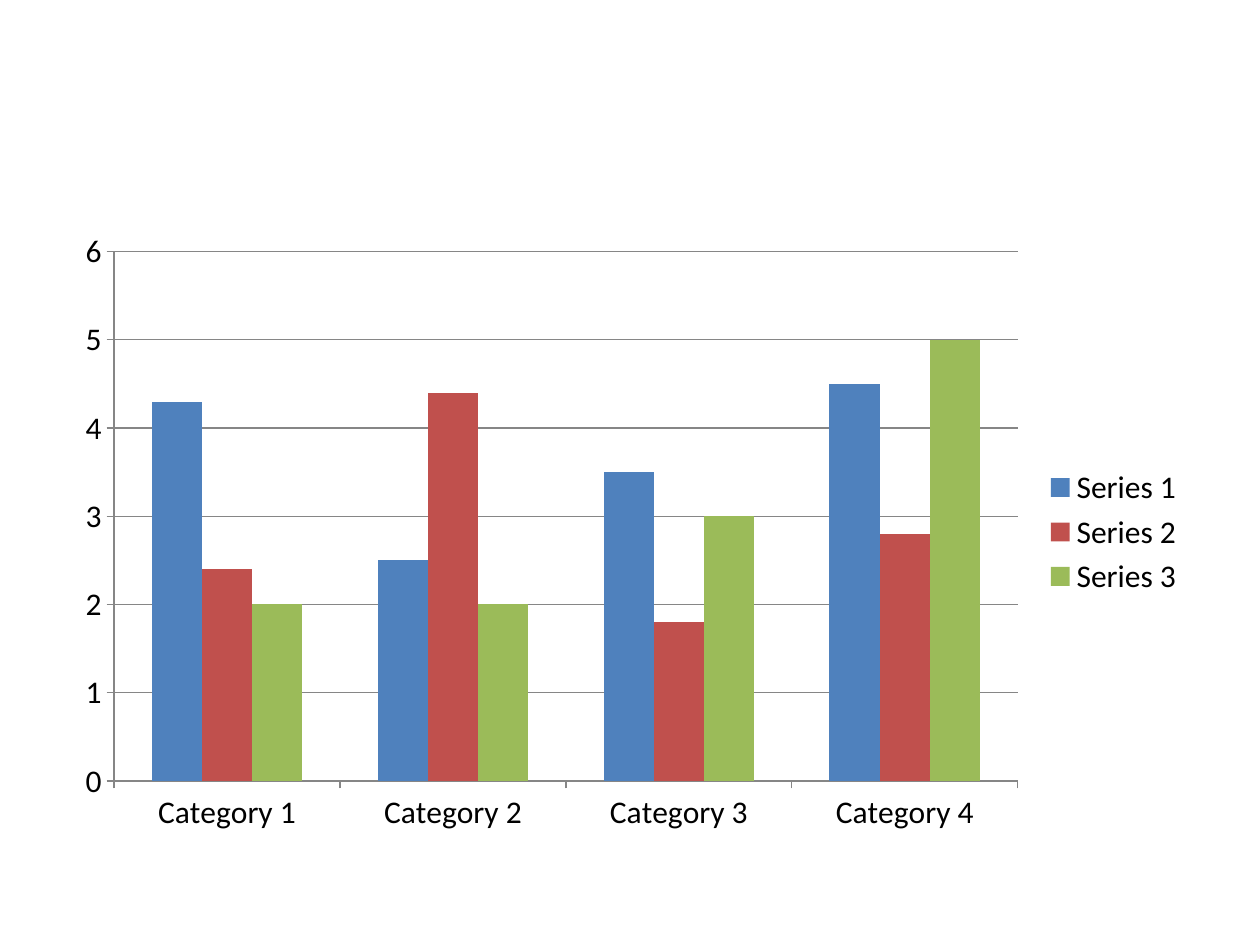
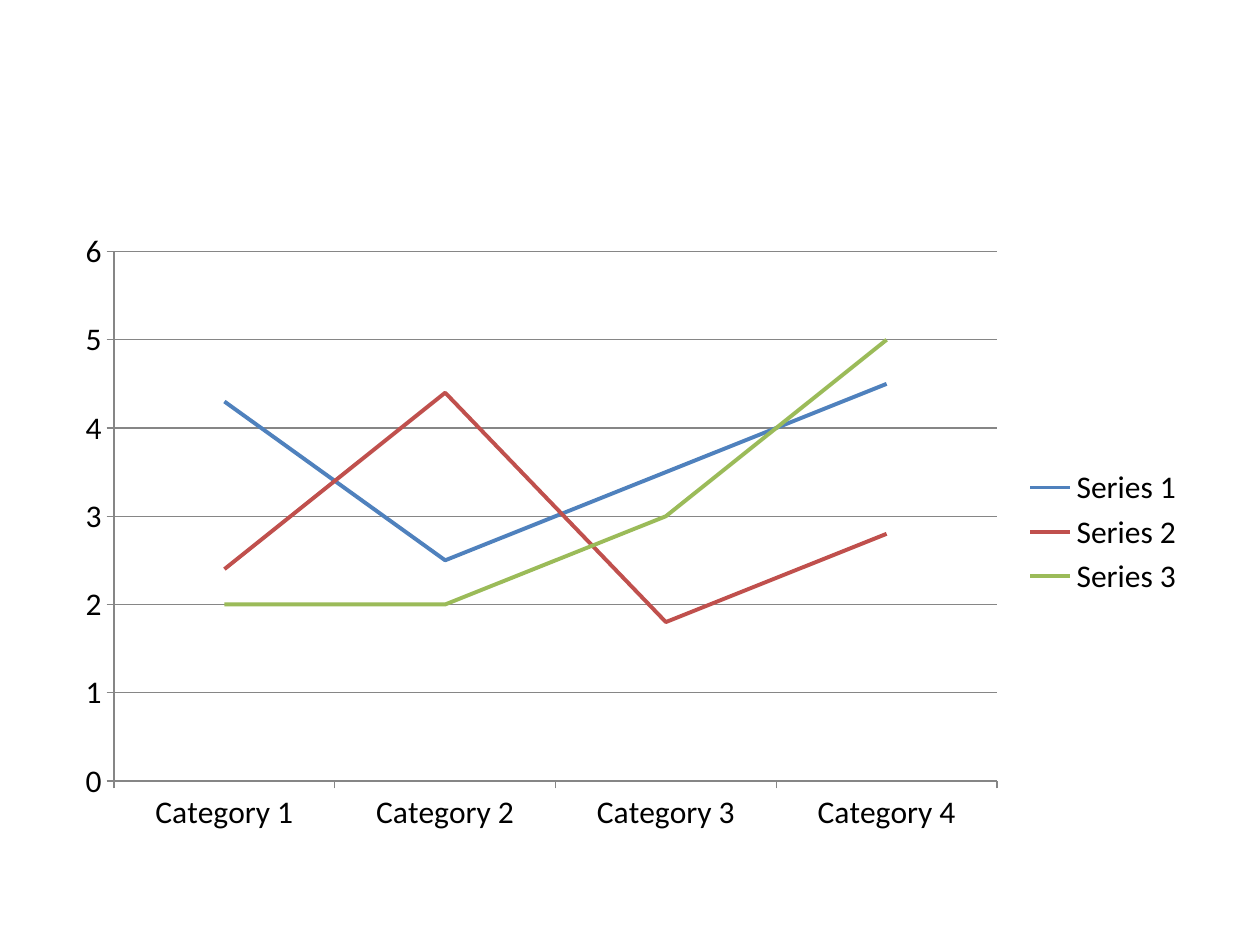
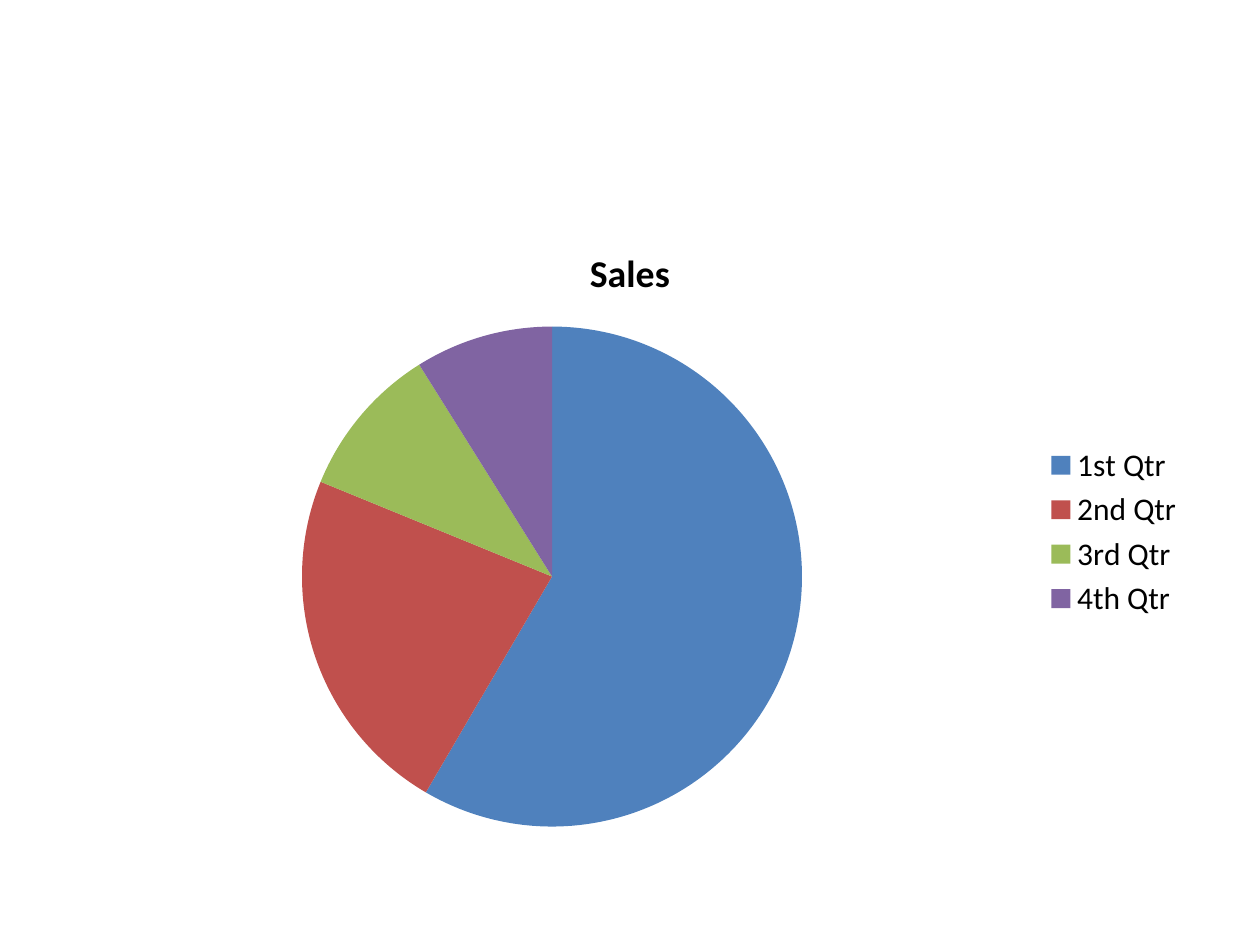
from pptx import Presentation
from pptx.chart.data import CategoryChartData
from pptx.dml.color import RGBColor
from pptx.enum.chart import XL_CHART_TYPE, XL_LEGEND_POSITION, XL_TICK_MARK
from pptx.util import Emu, Pt

SCALE = 914400 // 126
COLORS = {
    "background": "FFFFFF",
    "text": "000000",
    "axis": "868686",
    "blue": "4F81BD",
    "red": "C0504D",
    "green": "9BBB59",
    "purple": "8064A2",
}
ACCENTS = ["blue", "red", "green", "purple"]
CHART_FRAME = (63, 220, 1134, 624)
TEXT_FORMAT = {"name": "Calibri", "size": Pt(18), "bold": False}
TITLE_FORMAT = {"name": "Calibri", "size": Pt(21.6), "bold": True}
LEGEND_FORMAT = {"position": XL_LEGEND_POSITION.RIGHT, "include_in_layout": False}
TICK_FORMAT = {
    "major_tick_mark": XL_TICK_MARK.OUTSIDE,
    "minor_tick_mark": XL_TICK_MARK.NONE,
}
SCALE_FORMAT = {
    "minimum_scale": 0,
    "maximum_scale": 6,
    "major_unit": 1,
    "has_major_gridlines": True,
}

CATEGORIES = [f"Category {number}" for number in range(1, 5)]
SERIES = {
    "Series 1": (4.3, 2.5, 3.5, 4.5),
    "Series 2": (2.4, 4.4, 1.8, 2.8),
    "Series 3": (2, 2, 3, 5),
}
QUARTERS = ["1st Qtr", "2nd Qtr", "3rd Qtr", "4th Qtr"]
SALES = {"Sales": (59, 23, 10, 9)}


def assign(target, values):
    for attribute, value in values.items():
        setattr(target, attribute, value)


class ChartDeck:
    def __init__(self):
        self.presentation = Presentation()
        assign(self.presentation, {
            "slide_width": Emu(1260 * SCALE),
            "slide_height": Emu(945 * SCALE),
        })
        self.slide = None

    def color(self, name):
        return RGBColor.from_string(COLORS[name])

    def paint(self, fill, name):
        fill.solid()
        fill.fore_color.rgb = self.color(name)

    def stroke(self, line, name, width):
        self.paint(line.fill, name)
        line.width = Pt(width)

    def style_font(self, font, values):
        assign(font, values)
        font.color.rgb = self.color("text")

    def add_slide(self):
        self.slide = self.presentation.slides.add_slide(
            self.presentation.slide_layouts[6])
        self.paint(self.slide.background.fill, "background")

    def add_chart(self, kind, categories, series):
        data = CategoryChartData()
        data.categories = categories
        for name, values in series.items():
            data.add_series(name, values)
        frame = [Emu(length * SCALE) for length in CHART_FRAME]
        chart = self.slide.shapes.add_chart(kind, *frame, data).chart
        assign(chart, {"has_title": False, "has_legend": True})
        assign(chart.legend, LEGEND_FORMAT)
        self.style_font(chart.font, TEXT_FORMAT)
        return chart

    def style_axes(self, chart):
        assign(chart.value_axis, SCALE_FORMAT)
        for axis in (chart.category_axis, chart.value_axis):
            assign(axis, TICK_FORMAT)
            self.stroke(axis.format.line, "axis", 0.75)
        self.stroke(chart.value_axis.major_gridlines.format.line, "axis", 0.75)

    def add_columns(self, categories, series):
        chart = self.add_chart(XL_CHART_TYPE.COLUMN_CLUSTERED, categories, series)
        self.style_axes(chart)
        assign(chart.plots[0], {
            "gap_width": 150, "overlap": 0, "vary_by_categories": False})
        for column, accent in zip(chart.plots[0].series, ACCENTS):
            self.paint(column.format.fill, accent)

    def add_lines(self, categories, series):
        chart = self.add_chart(XL_CHART_TYPE.LINE, categories, series)
        self.style_axes(chart)
        chart.plots[0].vary_by_categories = False
        for trace, accent in zip(chart.plots[0].series, ACCENTS):
            trace.smooth = False
            self.stroke(trace.format.line, accent, 2.25)

    def add_pie(self, categories, series):
        chart = self.add_chart(XL_CHART_TYPE.PIE, categories, series)
        chart.plots[0].vary_by_categories = True
        heading = chart.chart_title.text_frame
        heading.text = next(iter(series))
        self.style_font(heading.paragraphs[0].runs[0].font, TITLE_FORMAT)
        slices = chart.plots[0].series[0].points
        for index, accent in enumerate(ACCENTS):
            self.paint(slices[index].format.fill, accent)


deck = ChartDeck()
for draw, categories, series in (
    (deck.add_columns, CATEGORIES, SERIES),
    (deck.add_lines, CATEGORIES, SERIES),
    (deck.add_pie, QUARTERS, SALES),
):
    deck.add_slide()
    draw(categories, series)
deck.presentation.save("out.pptx")
